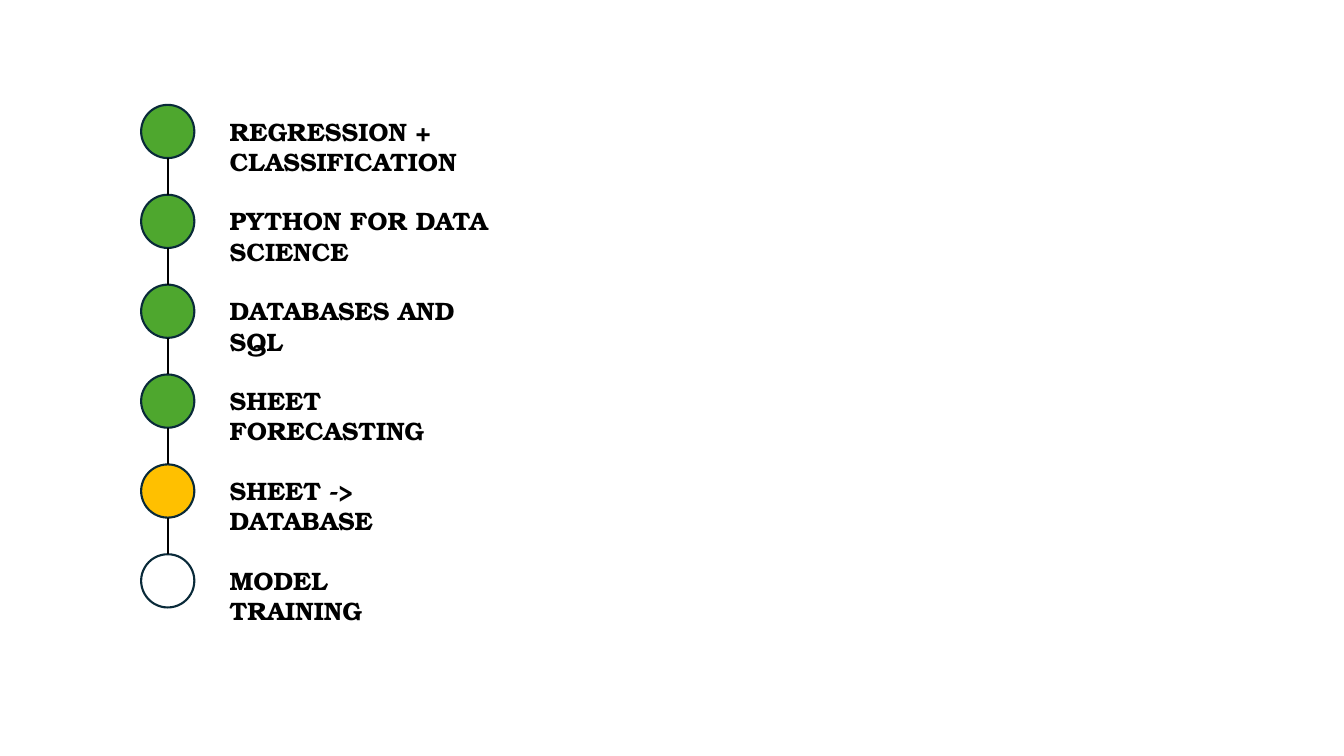
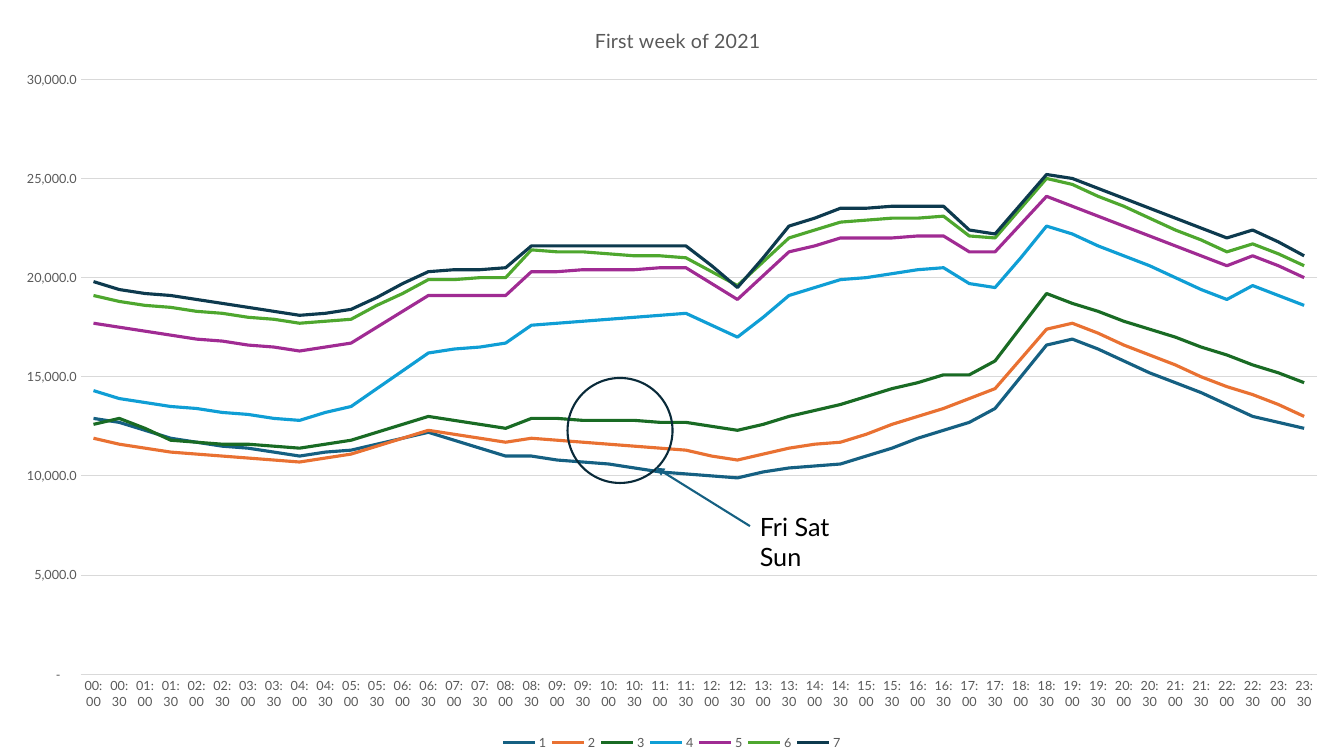
from dataclasses import dataclass
from itertools import pairwise

from lxml.etree import SubElement
from pptx import Presentation
from pptx.chart.data import CategoryChartData
from pptx.dml.color import RGBColor
from pptx.enum.chart import XL_CHART_TYPE, XL_LEGEND_POSITION, XL_TICK_MARK
from pptx.enum.shapes import MSO_CONNECTOR, MSO_SHAPE
from pptx.oxml import parse_xml
from pptx.oxml.ns import nsdecls, qn
from pptx.util import Pt

COLORS = {
    "black": "000000", "white": "FFFFFF", "outline": "092A39",
    "done": "4EA72E", "active": "FFC000", "arrow": "156082",
    "axis_text": "595959", "grid": "D9D9D9",
}
BODY_FONT = "Lato"
STEP_FONT = "TeX Gyre Bonum"
SLIDE_WIDTH, SLIDE_HEIGHT = 960, 540
LINE_WIDTH = 1.5


@dataclass(frozen=True)
class Step:
    label: str
    status: str
    label_width: float


@dataclass(frozen=True)
class DayLine:
    name: str
    color: str
    hundreds: tuple[int, ...]


STEPS = (
    Step("REGRESSION + CLASSIFICATION", "done", 286.5),
    Step("PYTHON FOR DATA SCIENCE", "done", 255.5),
    Step("DATABASES AND SQL", "done", 192),
    Step("SHEET FORECASTING", "done", 198.5),
    Step("SHEET -> DATABASE", "active", 187),
    Step("MODEL TRAINING", "white", 161),
)
CIRCLE_LEFT, CIRCLE_TOP, CIRCLE_SIZE = 100.8, 74.9, 38
STEP_PITCH = 64.2
LABEL_LEFT, LABEL_DROP, LABEL_HEIGHT = 157, 4.3, 29

# Half-hours where the daily curves bend, and the readings there in hundreds
BENDS = (0, 1, 3, 8, 10, 13, 16, 17, 23, 25, 27, 29, 33, 34, 35, 37, 38, 44, 45, 47)
DAYS = (
    DayLine("1", "156082", (129, 127, 119, 110, 113, 122, 110, 110, 101, 99,
                            104, 106, 123, 127, 134, 166, 169, 136, 130, 124)),
    DayLine("2", "E97132", (119, 116, 112, 107, 111, 123, 117, 119, 113, 108,
                            114, 117, 134, 139, 144, 174, 177, 145, 141, 130)),
    DayLine("3", "196B24", (126, 129, 118, 114, 118, 130, 124, 129, 127, 123,
                            130, 136, 151, 151, 158, 192, 187, 161, 156, 147)),
    DayLine("4", "0F9ED5", (143, 139, 135, 128, 135, 162, 167, 176, 182, 170,
                            191, 199, 205, 197, 195, 226, 222, 189, 196, 186)),
    DayLine("5", "A02B93", (177, 175, 171, 163, 167, 191, 191, 203, 205, 189,
                            213, 220, 221, 213, 213, 241, 236, 206, 211, 200)),
    DayLine("6", "4EA72E", (191, 188, 185, 177, 179, 199, 200, 214, 210, 196,
                            220, 228, 231, 221, 220, 250, 247, 213, 217, 206)),
    DayLine("7", "0D3A4E", (198, 194, 191, 181, 184, 203, 205, 216, 216, 195,
                            226, 235, 236, 224, 222, 252, 250, 220, 224, 211)),
)


def rgb(name: str) -> RGBColor:
    return RGBColor.from_string(COLORS[name])


# Shared drawing functions
def style_font(font, size: float, color: str, name: str = BODY_FONT, bold: bool = False) -> None:
    font.size, font.name, font.bold = Pt(size), name, bold
    font.color.rgb = rgb(color)


def add_circle(slide, left: float, top: float, size: float, fill: str | None = None) -> None:
    shape = slide.shapes.add_shape(MSO_SHAPE.OVAL, Pt(left), Pt(top), Pt(size), Pt(size))
    shape.shadow.inherit = False
    if fill:
        shape.fill.solid()
        shape.fill.fore_color.rgb = rgb(fill)
    else:
        shape.fill.background()
    shape.line.color.rgb = rgb("outline")
    shape.line.width = Pt(LINE_WIDTH)


def add_line(slide, start: tuple[float, float], end: tuple[float, float],
             color: str, arrow: bool = False) -> None:
    connector = slide.shapes.add_connector(
        MSO_CONNECTOR.STRAIGHT, *(Pt(value) for value in start + end))
    connector.line.color.rgb = rgb(color)
    connector.line.width = Pt(LINE_WIDTH)
    if arrow:
        SubElement(connector.line._get_or_add_ln(), qn("a:tailEnd"), type="triangle")
    SubElement(connector._element.spPr, qn("a:effectLst"))


def add_label(slide, text: str, left: float, top: float, width: float,
              font_name: str = BODY_FONT, bold: bool = False) -> None:
    shape = slide.shapes.add_textbox(Pt(left), Pt(top), Pt(width), Pt(LABEL_HEIGHT))
    shape.text_frame.word_wrap = True
    run = shape.text_frame.paragraphs[0].add_run()
    run.text = text
    style_font(run.font, 18, "black", font_name, bold)


def place_chart_part(element, index: int, **edges: float) -> None:
    """Fix a chart part at fractions of the chart area."""
    for layout in element.findall(qn("c:layout")):
        element.remove(layout)
    target = '<c:layoutTarget val="inner"/>' if element.tag == qn("c:plotArea") else ""
    modes = '<c:xMode val="edge"/><c:yMode val="edge"/>'
    values = "".join(f'<c:{key} val="{value}"/>' for key, value in edges.items())
    element.insert(index, parse_xml(
        f'<c:layout {nsdecls("c")}><c:manualLayout>{target}{modes}{values}'
        "</c:manualLayout></c:layout>"))


# Slide 1: progress steps
def build_steps(slide) -> None:
    tops = [CIRCLE_TOP + index * STEP_PITCH for index in range(len(STEPS))]
    for step, top in zip(STEPS, tops):
        add_circle(slide, CIRCLE_LEFT, top, CIRCLE_SIZE, step.status)
        add_label(slide, step.label, LABEL_LEFT, top + LABEL_DROP, step.label_width,
                  STEP_FONT, bold=True)
    center = CIRCLE_LEFT + CIRCLE_SIZE / 2
    for upper, lower in pairwise(tops):
        add_line(slide, (center, upper + CIRCLE_SIZE), (center, lower), "black")


# Slide 2: line chart with callout
def half_hourly(day: DayLine) -> list[int]:
    """Fill the half-hours between bends along straight lines."""
    readings = [day.hundreds[0]]
    for (start, first), (end, last) in pairwise(zip(BENDS, day.hundreds)):
        span = end - start
        readings += [round(first + (last - first) * step / span) for step in range(1, span + 1)]
    return [reading * 100 for reading in readings]


def add_week_chart(slide) -> None:
    data = CategoryChartData()
    data.categories = [f"{hour:02}:{minute:02}" for hour in range(24) for minute in (0, 30)]
    for day in DAYS:
        data.add_series(day.name, half_hourly(day))
    chart = slide.shapes.add_chart(
        XL_CHART_TYPE.LINE, 0, 0, Pt(SLIDE_WIDTH), Pt(SLIDE_HEIGHT), data).chart
    style_font(chart.font, 10, "black")
    chart.plots[0].vary_by_categories = False
    for day, series in zip(DAYS, chart.plots[0].series):
        series.smooth = False
        series.format.line.color.rgb = RGBColor.from_string(day.color)
        series.format.line.width = Pt(2.25)

    chart.has_title = True
    run = chart.chart_title.text_frame.paragraphs[0].add_run()
    run.text = "First week of 2021"
    style_font(run.font, 14, "axis_text")

    chart.has_legend = True
    chart.legend.position = XL_LEGEND_POSITION.BOTTOM
    chart.legend.include_in_layout = False
    style_font(chart.legend.font, 9, "axis_text")

    for axis in (chart.category_axis, chart.value_axis):
        axis.major_tick_mark = axis.minor_tick_mark = XL_TICK_MARK.NONE
        style_font(axis.tick_labels.font, 9, "axis_text")
    chart.category_axis._element.find(qn("c:txPr")).find(qn("a:bodyPr")).set("rot", "-60000000")
    values = chart.value_axis
    values.minimum_scale, values.maximum_scale, values.major_unit = 0, 30000, 5000
    values.tick_labels.number_format = '#,##0.0;[Red]\\-#,##0.0;"-"_____;'
    values.tick_labels.number_format_is_linked = False
    values.format.line.fill.background()
    for line in (chart.category_axis.format.line, values.major_gridlines.format.line):
        line.color.rgb = rgb("grid")
        line.width = Pt(0.75)

    place_chart_part(chart.chart_title._element, 1, x=0.44, y=0.03)
    place_chart_part(chart._chartSpace.chart.plotArea, 0, x=0.06, y=0.105, w=0.92, h=0.787)
    place_chart_part(chart.legend._element, 1, x=0.37, y=0.97, w=0.26, h=0.03)


def build_week(slide) -> None:
    add_week_chart(slide)
    add_circle(slide, 405.4, 270, 75)
    add_line(slide, (535.7, 375.8), (468.7, 334.1), "arrow", arrow=True)
    add_label(slide, "Fri Sat Sun", 535.7, 361.4, 94)


def main() -> None:
    presentation = Presentation()
    presentation.slide_width, presentation.slide_height = Pt(SLIDE_WIDTH), Pt(SLIDE_HEIGHT)
    for build in (build_steps, build_week):
        build(presentation.slides.add_slide(presentation.slide_layouts[6]))
    presentation.save("out.pptx")


if __name__ == "__main__":
    main()
